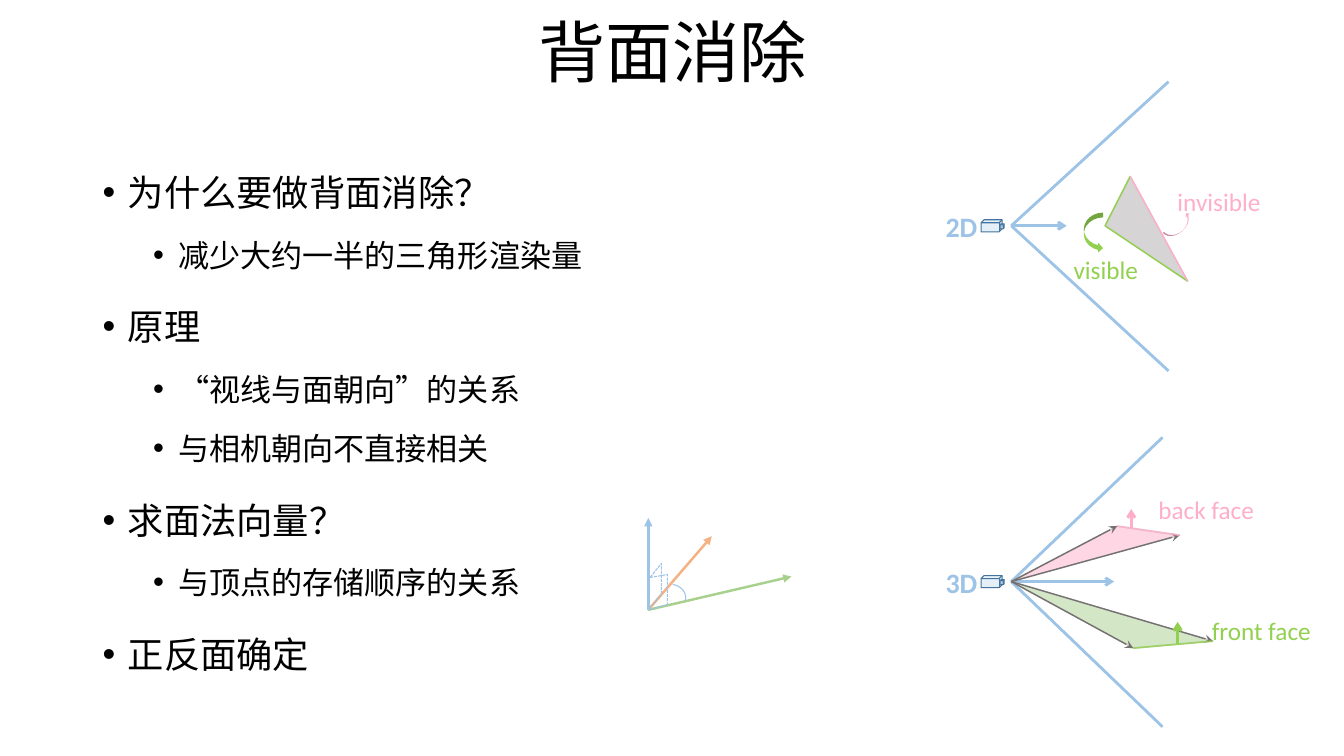
from dataclasses import dataclass

from lxml.etree import SubElement
from pptx import Presentation
from pptx.dml.color import RGBColor
from pptx.enum.dml import MSO_LINE
from pptx.enum.lang import MSO_LANGUAGE_ID
from pptx.enum.shapes import MSO_CONNECTOR, MSO_SHAPE
from pptx.enum.text import MSO_ANCHOR, PP_ALIGN
from pptx.oxml.ns import qn
from pptx.util import Inches, Pt

FONT = "Calibri"
BLACK = "000000"
BLUE = "9DC3E6"
PALE_BLUE = "BDD7EE"
DARK_BLUE = "43739E"
ORANGE = "F4B183"
SOFT_GREEN = "A9D18E"
GREEN = "92D050"
PINK = "FFAEC9"
GREY = "AFABAB"
LIGHT_GREY = "D0CECE"
DARK_GREY = "767171"

Point = tuple[float, float]
Box = tuple[float, float, float, float]


@dataclass(frozen=True)
class Segment:
    start: Point
    end: Point
    color: str
    width: float
    arrow: str = ""
    opacity: int = 100


@dataclass(frozen=True)
class Polygon:
    corners: list[Point]
    fill: str = ""
    line: str = LIGHT_GREY
    width: float = 1
    dashed: bool = False


@dataclass(frozen=True)
class Label:
    text: str
    box: Box
    color: str
    size: float = 18
    bold: bool = False


@dataclass(frozen=True)
class View:
    name: str
    eye: Point
    reach: float
    gaze: float


@dataclass(frozen=True)
class Level:
    margin: float
    size: float
    before: float


LEVELS = [Level(0.25, 25.9, 10), Level(0.75, 22.2, 5)]
OUTLINE = [
    (0, "为什么要做背面消除？"),
    (1, "减少大约一半的三角形渲染量"),
    (0, "原理"),
    (1, "“视线与面朝向”的关系"),
    (1, "与相机朝向不直接相关"),
    (0, "求面法向量？"),
    (1, "与顶点的存储顺序的关系"),
    (0, "正反面确定"),
]

ORIGIN = (6.43, 6.05)
EYE_2D, EYE_3D = (10.03, 2.24), (10.03, 5.77)
NEAR, TOP, FAR = (10.96, 2.24), (11.21, 1.75), (11.78, 2.79)
BACK_LEFT, BACK_RIGHT = (11.08, 5.22), (11.7, 5.31)
FRONT_LEFT, FRONT_RIGHT = (11.24, 6.43), (12.03, 6.36)

VIEWS = [View("2D", EYE_2D, 1.56, 0.55), View("3D", EYE_3D, 1.5, 1.02)]
AXES = [
    Segment(ORIGIN, (7.06, 5.32), ORANGE, 1.75, "triangle"),
    Segment(ORIGIN, (7.85, 5.72), SOFT_GREEN, 1.75, "triangle"),
    Segment(ORIGIN, (6.43, 5.14), BLUE, 1.75, "triangle"),
]
POLYGONS = [
    Polygon([ORIGIN, (6.44, 5.74), (6.56, 5.59), (6.56, 5.9)], "", BLUE, 0.75, True),
    Polygon([ORIGIN, (6.44, 5.73), (6.62, 5.7), (6.62, 6)], "", BLUE, 0.75, True),
    Polygon([NEAR, TOP, FAR], GREY),
    Polygon([EYE_3D, BACK_LEFT, BACK_RIGHT], PINK),
    Polygon([EYE_3D, FRONT_LEFT, FRONT_RIGHT], SOFT_GREEN),
]
EDGES = [
    Segment(FAR, NEAR, GREEN, 1),
    Segment(TOP, NEAR, GREEN, 1),
    Segment(FAR, TOP, PINK, 1),
    *(Segment(EYE_3D, corner, DARK_GREY, 1, "stealth")
      for corner in (BACK_LEFT, BACK_RIGHT, FRONT_LEFT, FRONT_RIGHT)),
    Segment(BACK_RIGHT, BACK_LEFT, PINK, 1.25, opacity=80),
    Segment(FRONT_RIGHT, FRONT_LEFT, GREEN, 1.25, opacity=80),
    Segment((11.22, 5.24), (11.22, 5.05), PINK, 2, "arrow"),
    Segment((11.68, 6.39), (11.68, 6.17), GREEN, 2, "arrow"),
]
LABELS = [
    Label("invisible", (11.58, 1.8, 1.13, 0.4), PINK),
    Label("visible", (10.55, 2.47, 0.87, 0.4), GREEN),
    Label("back face", (11.39, 4.86, 1.19, 0.4), PINK),
    Label("front face", (11.92, 6.06, 1.19, 0.4), GREEN),
]


def rgb(color: str) -> RGBColor:
    return RGBColor.from_string(color)


def set_opacity(shape, color_query: str, percent: int) -> None:
    for color in shape.element.spPr.xpath(color_query):
        SubElement(color, qn("a:alpha"), val=str(percent * 1000))


def paint(shape, fill: str = "", opacity: int = 100, line: str = "", width: float = 0.75) -> None:
    shape.shadow.inherit = False
    if fill:
        shape.fill.solid()
        shape.fill.fore_color.rgb = rgb(fill)
        if opacity < 100:
            set_opacity(shape, "./a:solidFill/a:srgbClr", opacity)
    else:
        shape.fill.background()
    if line:
        shape.line.color.rgb = rgb(line)
        shape.line.width = Pt(width)
    else:
        shape.line.fill.background()


def draw_preset(slide, preset: MSO_SHAPE, box: Box, rotation: float = 0,
                adjustments: tuple[float, ...] = ()):
    shape = slide.shapes.add_shape(preset, *map(Inches, box))
    shape.rotation = rotation
    for index, value in enumerate(adjustments):
        shape.adjustments[index] = value
    return shape


def draw_segment(slide, segment: Segment) -> None:
    connector = slide.shapes.add_connector(
        MSO_CONNECTOR.STRAIGHT, *map(Inches, (*segment.start, *segment.end)))
    connector.line.color.rgb = rgb(segment.color)
    connector.line.width = Pt(segment.width)
    if segment.opacity < 100:
        set_opacity(connector, "./a:ln/a:solidFill/a:srgbClr", segment.opacity)
    if segment.arrow:
        SubElement(connector.line._get_or_add_ln(), qn("a:tailEnd"), type=segment.arrow)
    SubElement(connector.element.spPr, qn("a:effectLst"))


def draw_polygon(slide, polygon: Polygon) -> None:
    start, *others = [(Inches(x), Inches(y)) for x, y in polygon.corners]
    builder = slide.shapes.build_freeform(*start)
    builder.add_line_segments(others, close=True)
    shape = builder.convert_to_shape()
    paint(shape, polygon.fill, 50, polygon.line, polygon.width)
    if polygon.dashed:
        shape.line.dash_style = MSO_LINE.SQUARE_DOT


def format_runs(paragraph, size: float, color: str, bold: bool = False) -> None:
    for run in paragraph.runs:
        run.font.name = FONT
        run.font.size = Pt(size)
        run.font.bold = bold
        run.font.color.rgb = rgb(color)


def draw_label(slide, label: Label):
    frame = slide.shapes.add_textbox(*map(Inches, label.box)).text_frame
    frame.word_wrap = True
    frame.text = label.text
    format_runs(frame.paragraphs[0], label.size, label.color, label.bold)
    return frame


def draw_outline(slide) -> None:
    frame = slide.shapes.add_textbox(*map(Inches, (0.92, 1.47, 5.34, 5.5))).text_frame
    frame.word_wrap = True
    for index, (depth, text) in enumerate(OUTLINE):
        level = LEVELS[depth]
        paragraph = frame.add_paragraph() if index else frame.paragraphs[0]
        paragraph.text = text
        paragraph.level = depth
        properties = paragraph._p.get_or_add_pPr()
        properties.set("marL", str(Inches(level.margin)))
        properties.set("indent", str(Inches(-0.25)))
        SubElement(properties, qn("a:buFont"), typeface="Arial")
        SubElement(properties, qn("a:buChar"), char="•")
        paragraph.line_spacing = 1.4
        paragraph.space_before = Pt(level.before if index else 0)
        format_runs(paragraph, level.size, BLACK)
        for run in paragraph.runs:
            run.font.language_id = MSO_LANGUAGE_ID.SIMPLIFIED_CHINESE


def draw_view(slide, view: View) -> None:
    x, y = view.eye
    for rise in (1.44, -1.43):
        draw_segment(slide, Segment(view.eye, (x + view.reach, y + rise), BLUE, 2))
    for box, opacity in (((x - 0.3, y - 0.06, 0.21, 0.12), 40),
                         ((x - 0.11, y - 0.02, 0.04, 0.05), 50)):
        paint(draw_preset(slide, MSO_SHAPE.CUBE, box), PALE_BLUE, opacity, DARK_BLUE)
    draw_segment(slide, Segment(view.eye, (x + view.gaze, y), BLUE, 2, "arrow"))
    draw_label(slide, Label(view.name, (9.28, y - 0.21, 0.57, 0.44), BLUE, 20, True))


def main() -> None:
    deck = Presentation()
    deck.slide_width, deck.slide_height = Inches(13.33), Inches(7.5)
    slide = deck.slides.add_slide(deck.slide_layouts[6])

    title = draw_label(slide, Label("背面消除", (0.92, 0, 11.5, 0.96), BLACK, 48))
    title.vertical_anchor = MSO_ANCHOR.BOTTOM
    title.paragraphs[0].alignment = PP_ALIGN.CENTER
    title.paragraphs[0].line_spacing = 0.9
    draw_outline(slide)

    for axis in AXES:
        draw_segment(slide, axis)
    angle = draw_preset(slide, MSO_SHAPE.ARC, (6.57, 5.81, 0.24, 0.19), 38.1, (132.92, 209.49))
    paint(angle, line=BLUE)
    for view in VIEWS:
        draw_view(slide, view)
    for polygon in POLYGONS:
        draw_polygon(slide, polygon)
    for edge in EDGES:
        draw_segment(slide, edge)
    paint(draw_preset(slide, MSO_SHAPE.CURVED_RIGHT_ARROW, (10.75, 2.11, 0.19, 0.4)), GREEN)
    paint(draw_preset(slide, MSO_SHAPE.CURVED_RIGHT_ARROW, (11.64, 2.08, 0.11, 0.33),
                      229.8, (0.13, 0.5, 0.25)), PINK)
    for label in LABELS:
        draw_label(slide, label)
    deck.save("out.pptx")


if __name__ == "__main__":
    main()
